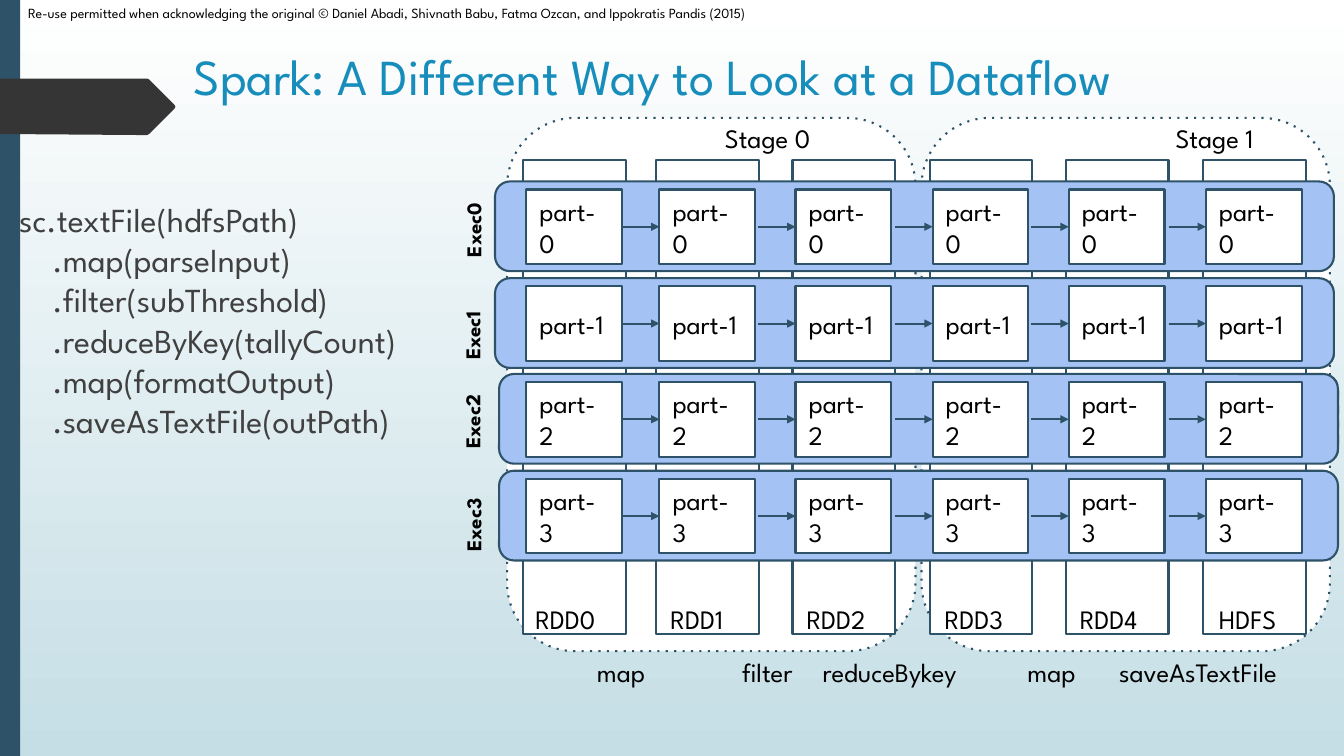
from lxml import etree
from pptx import Presentation
from pptx.dml.color import RGBColor
from pptx.enum.shapes import MSO_CONNECTOR, MSO_SHAPE
from pptx.enum.text import MSO_ANCHOR, PP_ALIGN
from pptx.oxml.ns import qn
from pptx.util import Emu, Pt

RECTANGLE = MSO_SHAPE.RECTANGLE
ROUNDED = MSO_SHAPE.ROUNDED_RECTANGLE
STRAIGHT = MSO_CONNECTOR.STRAIGHT
TOP, MIDDLE = MSO_ANCHOR.TOP, MSO_ANCHOR.MIDDLE
LEFT = PP_ALIGN.LEFT

PX = 9144  # one hundredth of an inch
FONT = "League Spartan"
COLORS = {
    "navy": "2E5369", "charcoal": "353535", "band": "A4C2F4",
    "white": "FFFFFF", "mist": "C5DEE5", "black": "000000",
    "code": "404040", "title": "178DBB",
}


def color(name):
    return RGBColor.from_string(COLORS[name])


def px(*lengths):
    return [Emu(round(length * PX)) for length in lengths]


class Canvas:
    """Holds the style and the current slide."""

    def __init__(self, presentation):
        self.slide = presentation.slides.add_slide(presentation.slide_layouts[5])
        self.shapes = self.slide.shapes

    def background(self, top, bottom):
        fill = self.slide.background.fill
        fill.gradient()
        fill.gradient_angle = 270
        for stop, position, name in zip(fill.gradient_stops, (0, 1), (top, bottom)):
            stop.position = position
            stop.color.rgb = color(name)

    def fill_text(self, shape, lines, size=19, ink="black", bold=False,
                  inset=(13, 13), anchor=TOP):
        frame = shape.text_frame
        side, end = px(*inset)
        settings = {"word_wrap": True, "vertical_anchor": anchor,
                    "margin_left": side, "margin_right": side,
                    "margin_top": end, "margin_bottom": end}
        for name, value in settings.items():
            setattr(frame, name, value)
        for index, line in enumerate(lines):
            paragraph = frame.add_paragraph() if index else frame.paragraphs[0]
            paragraph.text = line
            paragraph.alignment = LEFT
            for name, value in {"name": FONT, "size": Pt(size), "bold": bold}.items():
                setattr(paragraph.font, name, value)
            paragraph.font.color.rgb = color(ink)

    def text(self, box, *lines, rotation=0, **style):
        shape = self.shapes.add_textbox(*px(*box))
        shape.rotation = rotation
        self.fill_text(shape, lines, **style)

    def title(self, box, line, **style):
        shape = self.shapes.title
        shape.left, shape.top, shape.width, shape.height = px(*box)
        self.fill_text(shape, [line], **style)

    def paint(self, shape, fill, outlined):
        shape.shadow.inherit = False
        shape.fill.solid()
        shape.fill.fore_color.rgb = color(fill)
        if outlined:
            self.outline(shape)
        else:
            shape.line.fill.background()

    def outline(self, shape):
        shape.line.color.rgb = color("navy")
        shape.line.width = Pt(1.5)

    def line_detail(self, shape, tag, **attributes):
        line = shape._element.spPr.find(qn("a:ln"))
        etree.SubElement(line, qn(tag), **attributes)

    def box(self, kind, box, fill="white", outlined=True, dash=None):
        shape = self.shapes.add_shape(kind, *px(*box))
        self.paint(shape, fill, outlined)
        if dash:
            self.line_detail(shape, "a:prstDash", val=dash)
        return shape

    def outline_shape(self, points, fill):
        builder = self.shapes.build_freeform(*points[0], scale=PX)
        builder.add_line_segments(points[1:], close=True)
        self.paint(builder.convert_to_shape(), fill, False)

    def arrow(self, start_x, end_x, y):
        connector = self.shapes.add_connector(STRAIGHT, *px(start_x, y, end_x, y))
        self.outline(connector)
        self.line_detail(connector, "a:tailEnd", type="triangle")
        etree.SubElement(connector._element.spPr, qn("a:effectLst"))


# Dataset columns: name, left edge, left edge of the label
COLUMNS = [("RDD0", 519, 518), ("RDD1", 651, 652), ("RDD2", 786, 787),
           ("RDD3", 922, 924), ("RDD4", 1057, 1058), ("HDFS", 1193, 1196)]
# Executor rows: dashed left, dashed drop, band left, label left, label top
EXECUTORS = [(502, 0, 491, 414, 196), (503, 0, 491, 413, 298),
             (507, 0, 495, 413, 386), (503, 4, 495, 414, 488)]
ROW_TOPS = [round(180 + 95.67 * row) for row in range(len(EXECUTORS))]
# Stages: box left, label left
STAGES = [(503, 706), (914, 1153)]
OPERATIONS = [("map", 579, 113), ("filter", 723, 113), ("reduceBykey", 803, 207),
              ("map", 1006, 179), ("saveAsTextFile", 1097, 212)]
POINTER = [(-1, 133), (136, 134), (146, 134), (148, 133), (173, 108), (174, 106),
           (173, 104), (148, 79), (146, 78), (0, 78)]


def main():
    presentation = Presentation()
    presentation.slide_width, presentation.slide_height = px(1333, 750)
    canvas = Canvas(presentation)

    # Page frame, credit line and title
    canvas.background("white", "mist")
    canvas.box(RECTANGLE, (0, 0, 20, 750), "navy", outlined=False)
    canvas.text((18, 0, 1000, 33),
                "Re-use permitted when acknowledging the original © Daniel Abadi, "
                "Shivnath Babu, Fatma Ozcan, and Ippokratis Pandis (2015)",
                size=10, inset=(10, 5))
    canvas.outline_shape(POINTER, "charcoal")
    canvas.title((182, 40, 1118, 106), "Spark: A Different Way to Look at a Dataflow",
                 size=36, ink="title", inset=(10, 5))

    # Dashed executor halves behind the stages
    for top, (left, drop, *_) in zip(ROW_TOPS, EXECUTORS):
        for half in range(2):
            canvas.box(ROUNDED, (left + 415 * half, top + drop, 405, 89), dash="dash")

    # Stages and dataset columns
    for left, _ in STAGES:
        canvas.box(ROUNDED, (left, 117, 405, 529), dash="dot")
    for _, left, _ in COLUMNS:
        canvas.box(RECTANGLE, (left, 159, 102, 470))

    # Executor bands with their partitions and arrows
    for row, (top, executor) in enumerate(zip(ROW_TOPS, EXECUTORS)):
        _, _, band_left, label_left, label_top = executor
        canvas.box(ROUNDED, (band_left, top, 832, 89), "band")
        for column, (_, left, _) in enumerate(COLUMNS):
            part_left = left + 3
            part = canvas.box(RECTANGLE, (part_left, top + 8, 95, 74))
            canvas.fill_text(part, [f"part-{row}"], anchor=MIDDLE)
            if column:
                canvas.arrow(part_left - 37, part_left, top + 45)
        canvas.text((label_left, label_top, 102, 42), f"Exec{row}",
                    rotation=270, size=15, bold=True)

    # Labels of columns, operations and stages
    for name, _, left in COLUMNS:
        canvas.text((left, 585, 113, 29), name)
    for name, left, width in OPERATIONS:
        canvas.text((left, 638, width, 43), name)
    for stage, (_, left) in enumerate(STAGES):
        canvas.text((left, 108, 149, 40), f"Stage {stage}")

    # Program code
    canvas.text((6, 184, 501, 538),
                "sc.textFile(hdfsPath)",
                "    .map(parseInput)",
                "    .filter(subThreshold)",
                "    .reduceByKey(tallyCount)",
                "    .map(formatOutput)",
                "    .saveAsTextFile(outPath)",
                size=24, ink="code")

    presentation.save("out.pptx")


if __name__ == "__main__":
    main()
